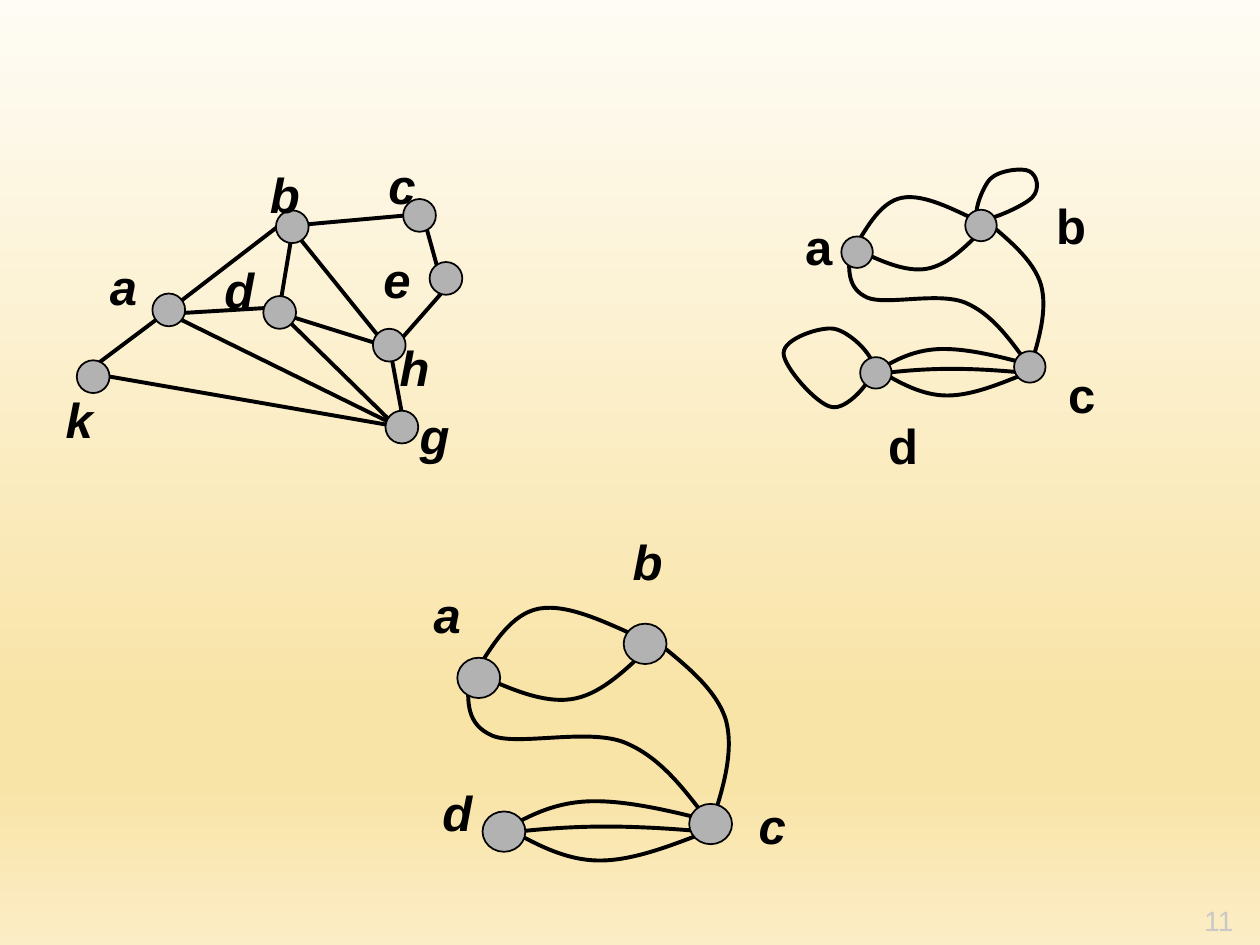
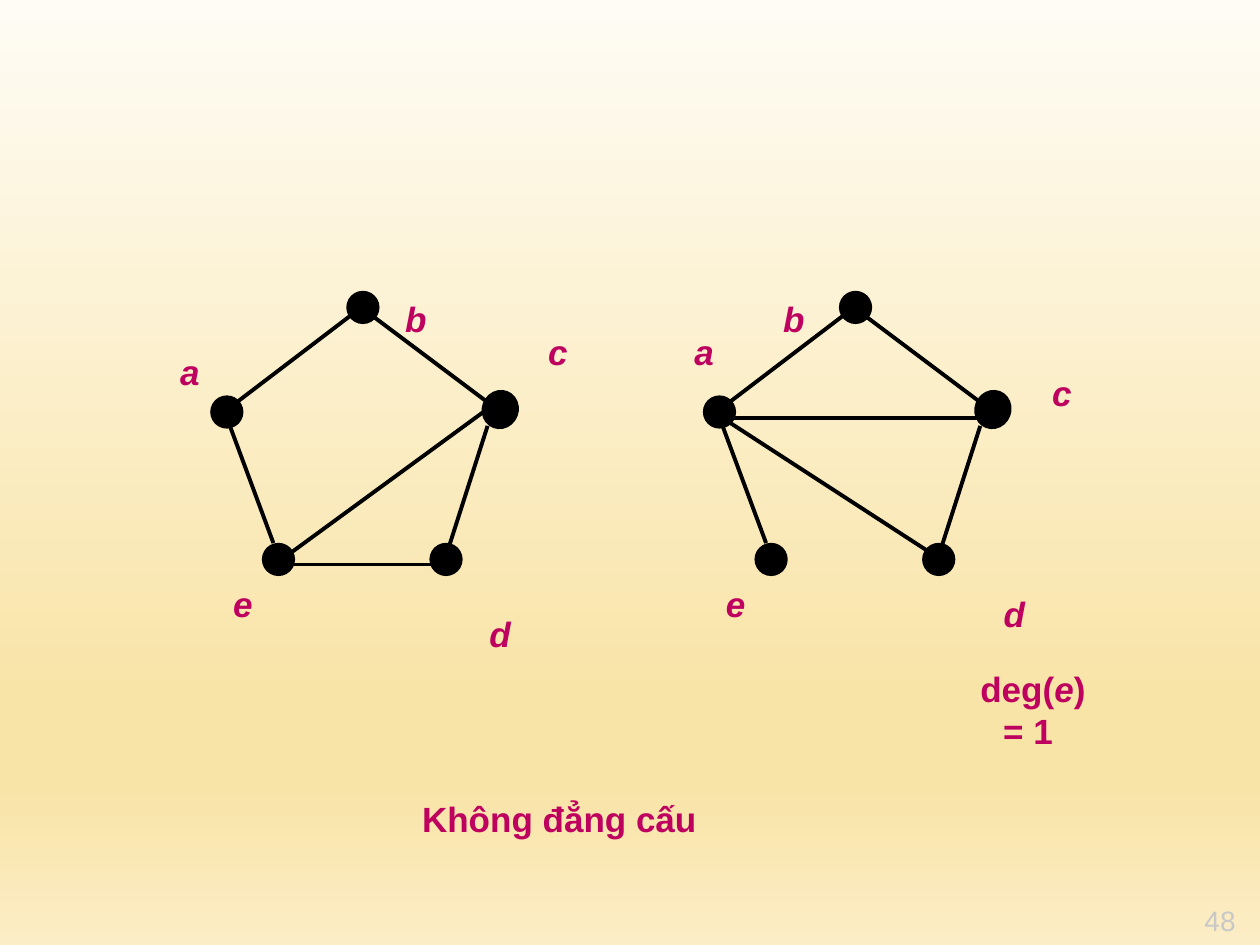
import copy

import pptx
import pptx.util
import pptx.dml.color
import pptx.enum.shapes
import pptx.enum.text
import pptx.oxml.ns
import pptx.oxml.xmlchemy

RGB = pptx.dml.color.RGBColor
BLACK = RGB(0x00, 0x00, 0x00)
GREY = RGB(0xB2, 0xB2, 0xB2)
PALE_GREY = RGB(0xC8, 0xC8, 0xC8)
CRIMSON = RGB(0xBE, 0x00, 0x5F)
BACKDROP = [
    (0, RGB(0xFE, 0xFC, 0xF5)),
    (0.74, RGB(0xF9, 0xE4, 0xA8)),
    (0.83, RGB(0xF9, 0xE4, 0xA8)),
    (1, RGB(0xFB, 0xED, 0xC5)),
]

WIDTH, HEIGHT = pptx.util.Inches(10), pptx.util.Inches(7.5)
COLUMN = WIDTH / 10

CENTER = pptx.enum.text.PP_ALIGN.CENTER
MIDDLE = pptx.enum.text.MSO_ANCHOR.MIDDLE
TOP = pptx.enum.text.MSO_ANCHOR.TOP
LARGE = {"size": pptx.util.Pt(28), "bold": True, "italic": False}
LARGE_ITALIC = {**LARGE, "italic": True}
SMALL = {"size": pptx.util.Pt(20), "bold": True, "italic": False}
SMALL_ITALIC = {**SMALL, "italic": True}
PAGE_NUMBER = {"size": pptx.util.Pt(16)}

SIMPLE_VERTICES = {
    "a": (1.34, 2.46), "b": (2.32, 1.8), "c": (3.33, 1.71), "d": (2.22, 2.48),
    "e": (3.54, 2.21), "g": (3.19, 3.39), "h": (3.09, 2.74), "k": (0.74, 2.99),
}
SIMPLE_LABELS = {
    "a": (0.76, 1.97), "b": (2.04, 1.24), "c": (2.97, 1.17), "d": (1.68, 2),
    "e": (2.93, 1.92), "g": (3.23, 3.16), "h": (3.07, 2.62), "k": (0.41, 3.03),
}
SIMPLE_EDGES = [
    (0.76, 2.97, 3.24, 3.4), (0.69, 2.95, 1.33, 2.47), (1.35, 2.49, 2.19, 2.44),
    (2.3, 2.51, 3.1, 2.76), (3.15, 2.73, 3.58, 2.24), (3.09, 2.74, 3.21, 3.39),
    (2.18, 2.44, 3.18, 3.42), (1.34, 2.49, 3.25, 3.43), (2.28, 1.77, 3.07, 2.75),
    (2.32, 1.71, 1.37, 2.44), (2.33, 1.78, 2.22, 2.44), (2.33, 1.79, 3.33, 1.7),
    (3.49, 2.19, 3.36, 1.72),
]

MULTI_VERTICES = [(3.8, 5.38), (5.12, 5.11), (5.64, 6.54), (4, 6.6)]
MULTI_CURVES = [
    [(3.77, 5.34), (3.92, 5.1), (4.06, 4.87), (4.28, 4.83), (4.51, 4.79), (4.81, 4.94), (5.12, 5.08)],
    [(3.79, 5.35), (4.05, 5.47), (4.31, 5.58), (4.53, 5.55), (4.75, 5.52), (4.94, 5.34), (5.13, 5.16)],
    [(3.96, 6.61), (4.17, 6.49), (4.38, 6.37), (4.68, 6.36), (4.99, 6.35), (5.39, 6.45), (5.8, 6.56)],
    [(5.17, 5.06), (5.42, 5.26), (5.68, 5.46), (5.76, 5.71), (5.83, 5.96), (5.74, 6.26), (5.64, 6.56)],
    [(4.02, 6.57), (4.25, 6.7), (4.49, 6.83), (4.76, 6.83), (5.03, 6.83), (5.33, 6.71), (5.64, 6.59)],
    [(4.02, 6.61), (4.28, 6.58), (4.53, 6.56), (4.81, 6.56), (5.09, 6.56), (5.39, 6.58), (5.7, 6.61)],
    [(3.72, 5.39), (3.71, 5.57), (3.7, 5.75), (3.91, 5.84), (4.11, 5.92), (4.66, 5.78), (4.95, 5.89),
     (5.23, 6), (5.42, 6.25), (5.61, 6.5)],
]
MULTI_LABELS = {"a": (3.33, 4.58), "b": (4.92, 4.16), "c": (5.91, 6.25), "d": (3.41, 6.15)}
LOOPS = [
    [(7.77, 1.74), (7.71, 1.71), (7.8, 1.48), (7.86, 1.42), (7.93, 1.35), (8.12, 1.33), (8.17, 1.36),
     (8.23, 1.39), (8.26, 1.5), (8.19, 1.57), (8.12, 1.64), (7.82, 1.77), (7.77, 1.74)],
    [(6.93, 2.92), (6.94, 2.82), (6.74, 2.63), (6.62, 2.61), (6.51, 2.59), (6.22, 2.69), (6.22, 2.8),
     (6.21, 2.9), (6.48, 3.21), (6.6, 3.23), (6.72, 3.26), (6.93, 3.02), (6.93, 2.92)],
]
LOOP_LABELS = {"a": (5.71, 1.67), "b": (7.71, 1.5), "c": (7.8, 2.84), "d": (6.38, 3.25)}

PENTAGON_VERTICES = [(2.88, 2.44), (1.8, 3.27), (2.21, 4.44), (3.54, 4.44)]
PENTAGON_C = (3.97, 3.25)
PENTAGON_EDGES = [
    (1.78, 3.26, 2.17, 4.31), (3.55, 4.38, 3.87, 3.38),
    (2.92, 2.48, 3.92, 3.23), (1.83, 3.23, 2.92, 2.4),
]
PENTAGONS = [
    (0, [(3.5, 4.48, 2.33, 4.48), (2.25, 4.43, 3.85, 3.26)],
     {"a": (1.25, 2.73), "b": (3.08, 1.98), "c": (4.17, 2.57), "d": (3.75, 4.48), "e": (1.67, 4.57)}),
    (3.91, [(3.92, 3.32, 1.84, 3.32), (3.51, 4.41, 1.86, 3.34)],
     {"a": (5.33, 2.57), "b": (6.08, 1.98), "c": (8.17, 2.9), "d": (7.83, 4.32), "e": (5.58, 4.57)}),
]


def grid(*lengths):
    return [round(length * COLUMN) for length in lengths]


def paint_backdrop(master):
    fill = master.background.fill
    fill.gradient()
    fill.gradient_angle = 270
    stops = master.element.find(".//" + pptx.oxml.ns.qn("a:gsLst"))
    for _ in BACKDROP[2:]:
        stops.append(copy.deepcopy(stops[0]))
    for stop, (position, color) in zip(fill.gradient_stops, BACKDROP):
        stop.position = position
        stop.color.rgb = color


def ink(line, weight=2.25):
    line.color.rgb = BLACK
    line.width = pptx.util.Pt(weight)


def add_edge(shapes, x1, y1, x2, y2):
    edge = shapes.add_connector(pptx.enum.shapes.MSO_CONNECTOR.STRAIGHT, *grid(x1, y1, x2, y2))
    ink(edge.line)
    edge._element.spPr.append(pptx.oxml.xmlchemy.OxmlElement("a:effectLst"))


def add_curve(shapes, points, close=False):
    start, *rest = [grid(*point) for point in points]
    builder = shapes.build_freeform(*start)
    builder.add_line_segments(rest, close=close)
    curve = builder.convert_to_shape()
    curve.fill.background()
    ink(curve.line)
    curve.shadow.inherit = False
    segments = curve._element.findall(".//" + pptx.oxml.ns.qn("a:lnTo"))
    for first in range(0, len(segments), 3):
        bezier = pptx.oxml.xmlchemy.OxmlElement("a:cubicBezTo")
        segments[first].addprevious(bezier)
        for segment in segments[first:first + 3]:
            bezier.append(segment[0])
            segment.getparent().remove(segment)


def add_vertex(shapes, x, y, color, width=0.26, height=None, rotation=0):
    height = height or width
    vertex = shapes.add_shape(
        pptx.enum.shapes.MSO_SHAPE.OVAL, *grid(x - width / 2, y - height / 2, width, height))
    vertex.fill.solid()
    vertex.fill.fore_color.rgb = color
    ink(vertex.line, 1)
    vertex.shadow.inherit = False
    vertex.rotation = rotation


def add_text(shapes, box, runs, color, frame_format, align=CENTER):
    frame = shapes.add_textbox(*grid(*box)).text_frame
    for name, value in {"word_wrap": False, "vertical_anchor": TOP, **frame_format}.items():
        setattr(frame, name, value)
    paragraph = frame.paragraphs[0]
    paragraph.alignment = align
    for words, font_format in runs:
        run = paragraph.add_run()
        run.text = words
        run.font.color.rgb = color
        for name, value in {"name": "Arial", **font_format}.items():
            setattr(run.font, name, value)


def add_labels(shapes, labels, size, font_format, color=BLACK, anchor=TOP, lead=""):
    for letter, corner in labels.items():
        add_text(shapes, (*corner, *size), [(lead + letter, font_format)], color,
                 {"vertical_anchor": anchor})


def add_page(deck, number):
    slide = deck.slides.add_slide(deck.slide_layouts[6])
    margins = dict.fromkeys(("margin_left", "margin_top", "margin_right", "margin_bottom"), 0)
    add_text(slide.shapes, (9.56, 7.17, 0.27, 0.27), [(number, PAGE_NUMBER)], PALE_GREY,
             margins, pptx.enum.text.PP_ALIGN.LEFT)
    return slide.shapes


def draw_simple_graph(shapes):
    for edge in SIMPLE_EDGES:
        add_edge(shapes, *edge)
    for center in SIMPLE_VERTICES.values():
        add_vertex(shapes, *center, GREY)
    add_labels(shapes, SIMPLE_LABELS, (0.44, 0.59), LARGE_ITALIC, anchor=MIDDLE)


def draw_multigraph(shapes, place, vertex_size, loops=()):
    for curve in MULTI_CURVES:
        add_curve(shapes, [place(*point) for point in curve])
    for loop in loops:
        add_curve(shapes, loop, close=True)
    for center in MULTI_VERTICES:
        add_vertex(shapes, *place(*center), GREY, *vertex_size)


def draw_pentagon(shapes, shift, own_edges, labels):
    for x1, y1, x2, y2 in PENTAGON_EDGES + own_edges:
        add_edge(shapes, x1 + shift, y1, x2 + shift, y2)
    for x, y in PENTAGON_VERTICES:
        add_vertex(shapes, x + shift, y, BLACK, 0.25)
    x, y = PENTAGON_C
    add_vertex(shapes, x + shift, y, BLACK, 0.28, 0.3, 20.8)
    add_labels(shapes, labels, (0.44, 0.43), SMALL_ITALIC, CRIMSON, lead=" ")


def draw_graph_kinds(page):
    draw_simple_graph(page.add_group_shape().shapes)

    multigraph = page.add_group_shape().shapes
    draw_multigraph(multigraph, lambda x, y: (x, y), (0.34, 0.32))
    add_labels(multigraph, MULTI_LABELS, (0.44, 0.59), LARGE_ITALIC, anchor=MIDDLE)

    pseudograph = page.add_group_shape().shapes
    draw_multigraph(pseudograph,
                    lambda x, y: (6.78 + 0.745 * (x - 3.77), 1.97 + 0.785 * (y - 5.34)),
                    (0.25, 0.25), LOOPS)
    add_labels(pseudograph, LOOP_LABELS, (1.58, 0.57), LARGE)


def draw_isomorphism_check(page):
    for pentagon in PENTAGONS:
        draw_pentagon(page.add_group_shape().shapes, *pentagon)
    degree = [(" deg(", SMALL), ("e", SMALL_ITALIC), (") = 1", SMALL)]
    add_text(page, (7.49, 5.25, 1.58, 0.43), degree, CRIMSON,
             {"word_wrap": True, "margin_right": pptx.util.Inches(0.34)})
    add_text(page, (3.24, 6.28, 2.4, 0.44), [("Không đẳng cấu", SMALL)], CRIMSON, {})


def main():
    deck = pptx.Presentation()
    deck.slide_width, deck.slide_height = WIDTH, HEIGHT
    paint_backdrop(deck.slide_master)
    draw_graph_kinds(add_page(deck, "11"))
    draw_isomorphism_check(add_page(deck, "48"))
    deck.save("out.pptx")


if __name__ == "__main__":
    main()
